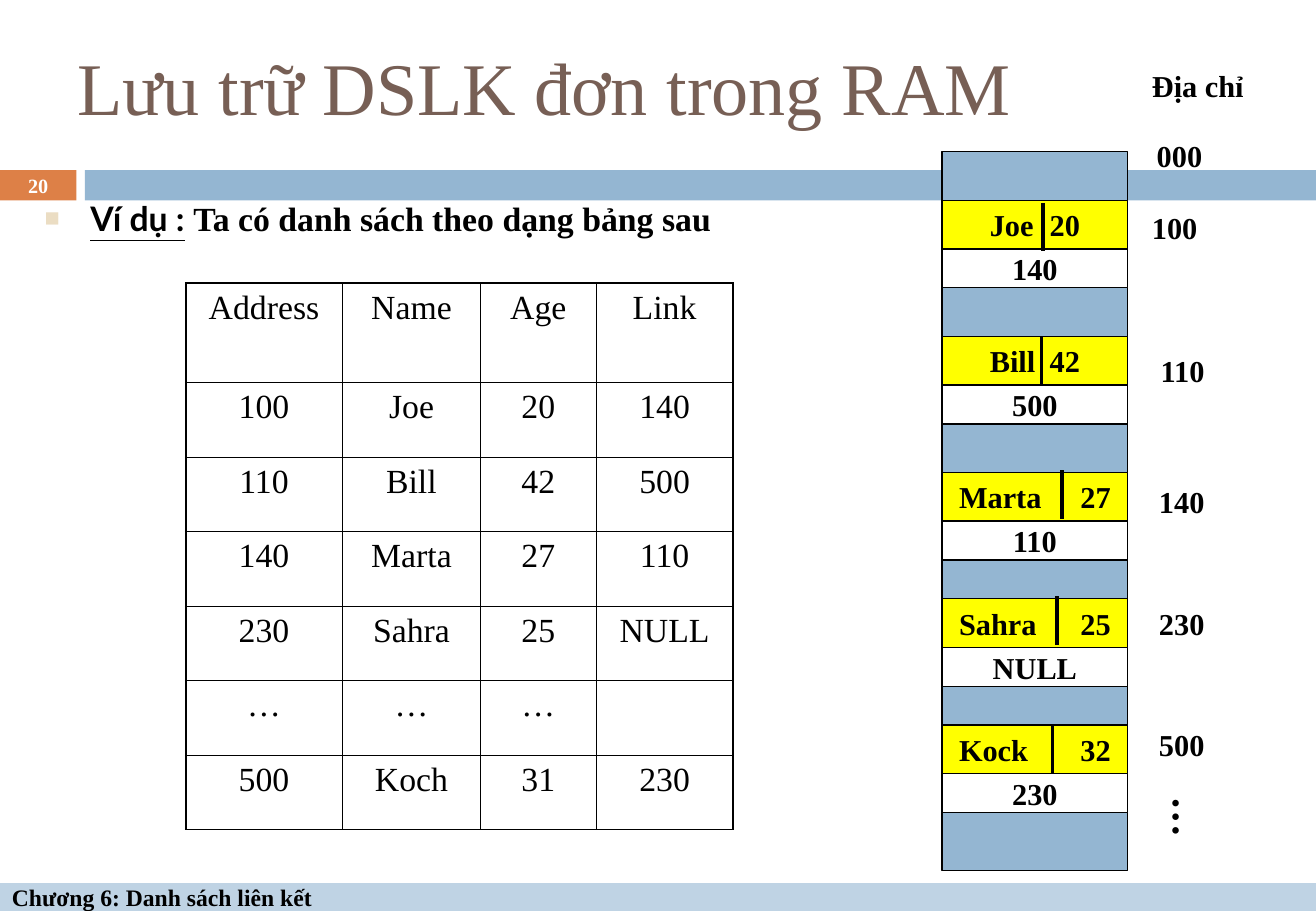
from typing import NamedTuple

from lxml.etree import SubElement
from pptx import Presentation
from pptx.dml.color import RGBColor
from pptx.enum.shapes import MSO_CONNECTOR, MSO_SHAPE
from pptx.enum.text import MSO_ANCHOR as Anchor, PP_ALIGN as Align
from pptx.oxml.ns import qn
from pptx.shapes.base import BaseShape
from pptx.shapes.shapetree import _BaseGroupShapes as ShapeTree
from pptx.table import _Cell as Cell
from pptx.text.text import TextFrame, _Paragraph as Paragraph
from pptx.util import Pt

COLORS = {
    "black": "000000", "white": "FFFFFF", "title": "775F55", "number": "DD8047",
    "memory": "94B6D2", "footer": "BFD3E4", "record": "FFFF00", "bullet": "EBDDC3",
}
SERIF, SANS = "Times New Roman", "Lato"


class Box(NamedTuple):
    left: float
    top: float
    width: float
    height: float


class Run(NamedTuple):
    text: str
    size: float = 18
    bold: bool = True
    color: str = "black"
    font: str = SERIF
    underline: bool = False


class Label(NamedTuple):
    box: Box
    run: Run
    align: Align = Align.LEFT
    anchor: Anchor = Anchor.TOP
    rotation: float = 0


class Record(NamedTuple):
    """One list node in memory: its data, its link and its address."""
    top: float
    data: str
    link: str
    tab: float
    divider_left: float
    divider_shift: float
    address: str
    address_top: float
    address_align: Align = Align.RIGHT


MEMORY = Box(558.72, 90, 110.16, 426.24)
DATA_HEIGHT, LINK_HEIGHT = 28.8, 23.04
RECORDS = [
    Record(118.8, "Joe\t20", "140", 35.5, 618.48, 1.44, "100", 120.24, Align.LEFT),
    Record(199.44, "Bill\t42", "500", 35.5, 617.76, 0, "110", 205.2),
    Record(280.08, "Marta\t27", "110", 72, 630, -1.44, "140", 282.96),
    Record(354.96, "Sahra\t25", "NULL", 72, 627.12, -1.44, "230", 354.96),
    Record(429.84, "Kock\t32", "230", 72, 624.24, 0, "500", 426.96),
]
LABELS = [
    Label(Box(0, 100.08, 45.36, 19.44), Run("20", 12, color="white"),
          Align.CENTER, Anchor.MIDDLE),
    Label(Box(38.88, 12.24, 702, 77.76),
          Run("Lưu trữ DSLK đơn trong RAM", 44, False, "title"), anchor=Anchor.MIDDLE),
    Label(Box(676.08, 36, 84.24, 28.8), Run("Địa chỉ")),
    Label(Box(678.96, 77.76, 48.96, 28.8), Run("000")),
    Label(Box(665.28, 461.52, 48.24, 36), Run("…", 24), rotation=270),
]
LIST_ROWS = [
    ["Address", "Name", "Age", "Link"],
    ["100", "Joe", "20", "140"],
    ["110", "Bill", "42", "500"],
    ["140", "Marta", "27", "110"],
    ["230", "Sahra", "25", "NULL"],
    ["…", "…", "…", ""],
    ["500", "Koch", "31", "230"],
]
LIST_BOX = Box(110.16, 167.76, 324.72, 324)
LIST_WIDTHS = [92.88, 82.08, 68.4, 81.36]
HEADER_HEIGHT, ROW_HEIGHT = 59.04, 44.16


def rgb(name: str) -> RGBColor:
    return RGBColor.from_string(COLORS[name])


def points(box: Box) -> list[Pt]:
    return [Pt(length) for length in box]


def add_run(paragraph: Paragraph, spec: Run) -> None:
    run = paragraph.add_run()
    run.text = spec.text
    font = run.font
    font.name, font.size, font.bold = spec.font, Pt(spec.size), spec.bold
    font.underline = spec.underline
    font.color.rgb = rgb(spec.color)


def add_tab(paragraph: Paragraph, position: float) -> None:
    tabs = SubElement(paragraph._p.get_or_add_pPr(), qn("a:tabLst"))
    SubElement(tabs, qn("a:tab"), pos=str(Pt(position)), algn="l")


def add_bullet(paragraph: Paragraph, char: str, indent: float) -> None:
    properties = paragraph._p.get_or_add_pPr()
    properties.set("marL", str(Pt(indent)))
    properties.set("indent", str(-Pt(indent)))
    color = SubElement(properties, qn("a:buClr"))
    SubElement(color, qn("a:srgbClr"), val=COLORS["bullet"])
    SubElement(properties, qn("a:buSzPct"), val="75000")
    SubElement(properties, qn("a:buFont"), typeface=SERIF)
    SubElement(properties, qn("a:buChar"), char=char)


def add_label(shapes: ShapeTree, label: Label) -> TextFrame:
    text_box = shapes.add_textbox(*points(label.box))
    text_box.rotation = label.rotation
    frame = text_box.text_frame
    frame.word_wrap, frame.vertical_anchor = True, label.anchor
    frame.paragraphs[0].alignment = label.align
    add_run(frame.paragraphs[0], label.run)
    return frame


def add_block(shapes: ShapeTree, box: Box, fill: str, outlined: bool = False) -> BaseShape:
    block = shapes.add_shape(MSO_SHAPE.RECTANGLE, *points(box))
    block.shadow.inherit = False
    block.fill.solid()
    block.fill.fore_color.rgb = rgb(fill)
    if outlined:
        block.line.color.rgb = rgb("black")
        block.line.width = Pt(0.75)
    else:
        block.line.fill.background()
    return block


def add_memory_cell(shapes: ShapeTree, top: float, height: float, fill: str,
                    text: str, tab: float = 0) -> None:
    box = Box(MEMORY.left, top, MEMORY.width, height)
    frame = add_block(shapes, box, fill, True).text_frame
    frame.word_wrap, frame.vertical_anchor = False, Anchor.MIDDLE
    paragraph = frame.paragraphs[0]
    paragraph.alignment = Align.CENTER
    if tab:
        add_tab(paragraph, tab)
    add_run(paragraph, Run(text))


def add_divider(shapes: ShapeTree, left: float, top: float) -> None:
    divider = shapes.add_connector(
        MSO_CONNECTOR.STRAIGHT, Pt(left), Pt(top), Pt(left), Pt(top + DATA_HEIGHT))
    divider.line.color.rgb = rgb("black")
    divider.line.width = Pt(2.25)
    SubElement(divider._element.spPr, qn("a:effectLst"))


def add_borders(cell: Cell, outer: dict[str, bool]) -> None:
    """Draw thicker borders on the sides marked as outer."""
    properties = cell._tc.get_or_add_tcPr()
    for side, is_outer in outer.items():
        border = SubElement(properties, qn(f"a:ln{side}"), w=str(Pt(1.08 if is_outer else 0.45)))
        fill = SubElement(border, qn("a:solidFill"))
        SubElement(fill, qn("a:srgbClr"), val=COLORS["black"])


def add_list_table(shapes: ShapeTree) -> None:
    last_row, last_column = len(LIST_ROWS) - 1, len(LIST_WIDTHS) - 1
    table = shapes.add_table(last_row + 1, last_column + 1, *points(LIST_BOX)).table
    table.first_row = table.horz_banding = False
    for column, width in zip(table.columns, LIST_WIDTHS):
        column.width = Pt(width)
    for r, texts in enumerate(LIST_ROWS):
        table.rows[r].height = Pt(ROW_HEIGHT if r else HEADER_HEIGHT)
        for c, text in enumerate(texts):
            cell = table.cell(r, c)
            add_borders(cell, {"L": c == 0, "R": c == last_column,
                               "T": r == 0, "B": r == last_row})
            cell.fill.background()
            paragraph = cell.text_frame.paragraphs[0]
            paragraph.alignment = Align.CENTER
            if text:
                add_run(paragraph, Run(text, 20, False))


def main() -> None:
    deck = Presentation()
    deck.slide_width, deck.slide_height = Pt(780.48), Pt(540)
    shapes = deck.slides.add_slide(deck.slide_layouts[6]).shapes

    add_block(shapes, Box(0, 100.8, 45.36, 18), "number")
    add_block(shapes, Box(50.4, 100.8, 730.08, 18), "memory")
    footer = add_block(shapes, Box(0, 523.44, 780.48, 16.56), "footer").text_frame
    footer.vertical_anchor = Anchor.MIDDLE
    footer.paragraphs[0].alignment = Align.LEFT
    add_run(footer.paragraphs[0], Run("Chương 6: Danh sách liên kết", 14))

    for label in LABELS:
        add_label(shapes, label)
    add_list_table(shapes)

    example = add_label(shapes, Label(
        Box(19.44, 113.76, 519.84, 59.76),
        Run("Ví dụ :", 20, font=SANS, underline=True), Align.JUSTIFY)).paragraphs[0]
    add_bullet(example, "■", 27)
    add_run(example, Run(" ", 20, False, font=SANS))
    add_run(example, Run("Ta có danh sách theo dạng bảng sau", 20))

    memory = shapes.add_group_shape().shapes
    add_block(memory, MEMORY, "memory", True)
    for record in RECORDS:
        add_memory_cell(memory, record.top, DATA_HEIGHT, "record", record.data, record.tab)
        add_memory_cell(memory, record.top + DATA_HEIGHT, LINK_HEIGHT, "white", record.link)
        add_divider(memory, record.divider_left, record.top + record.divider_shift)
        add_label(shapes, Label(Box(676.08, record.address_top, 45.36, 28.8),
                                Run(record.address), record.address_align))
    deck.save("out.pptx")


if __name__ == "__main__":
    main()
